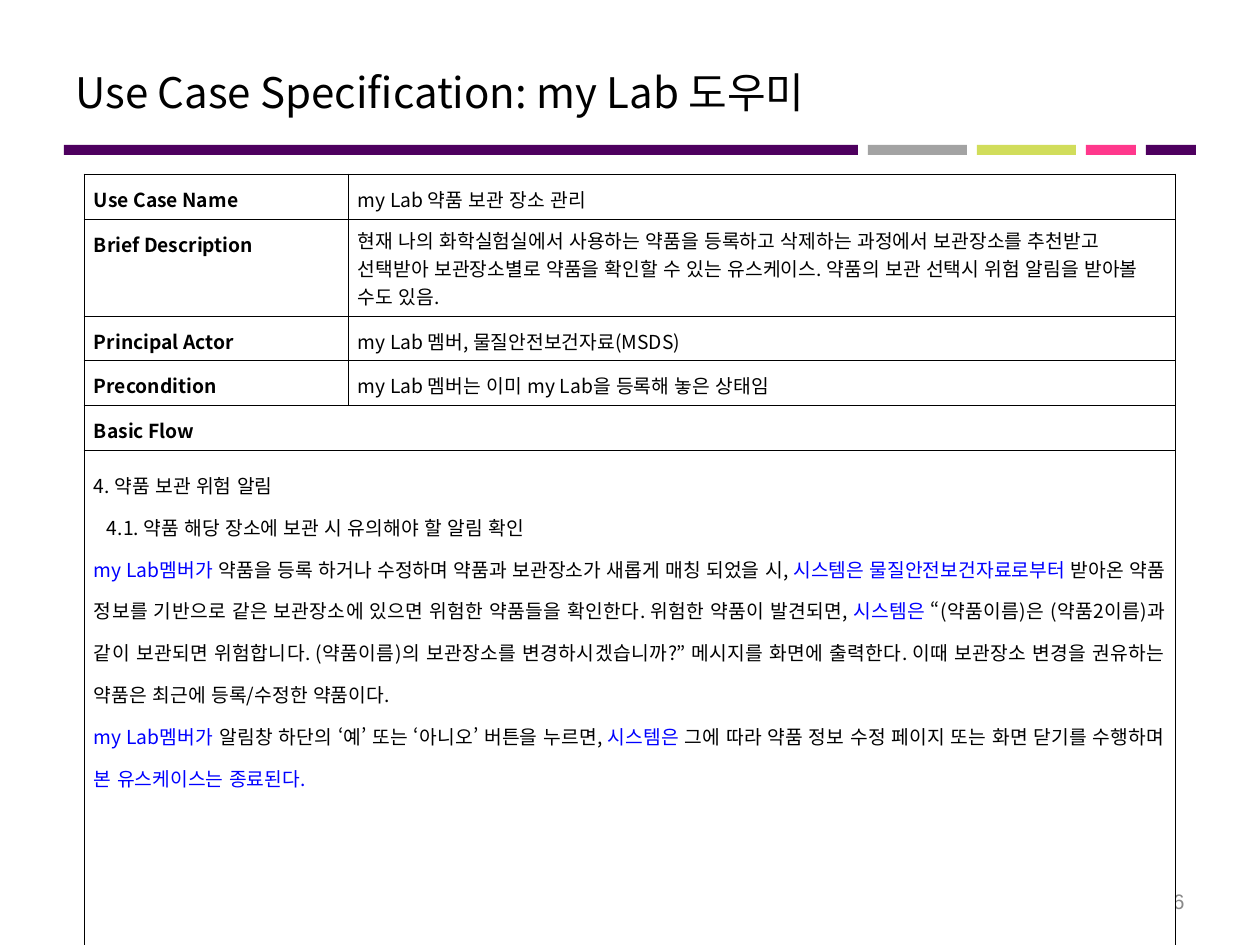
from lxml import etree
from pptx import Presentation
from pptx.dml.color import RGBColor
from pptx.enum.lang import MSO_LANGUAGE_ID
from pptx.enum.shapes import MSO_SHAPE
from pptx.enum.text import MSO_ANCHOR, PP_ALIGN
from pptx.oxml.ns import qn
from pptx.util import Emu, Pt

RECTANGLE = MSO_SHAPE.RECTANGLE
MIDDLE = MSO_ANCHOR.MIDDLE
LEFT, RIGHT, JUSTIFY = PP_ALIGN.LEFT, PP_ALIGN.RIGHT, PP_ALIGN.JUSTIFY
KOREAN = MSO_LANGUAGE_ID.KOREAN

BLACK = RGBColor(0x00, 0x00, 0x00)
WHITE = RGBColor(0xFF, 0xFF, 0xFF)
BLUE = RGBColor(0x00, 0x00, 0xFF)
PURPLE = RGBColor(0x4E, 0x00, 0x5F)
GRAY = RGBColor(0xA3, 0xA3, 0xA3)
LIME = RGBColor(0xD1, 0xDD, 0x5B)
PINK = RGBColor(0xFF, 0x38, 0x8C)
NUMBER_GRAY = RGBColor(0x89, 0x89, 0x89)

KOREAN_FONT = "Noto Sans CJK KR"
NUMBER_FONT = "Arial"

TITLE = "Use Case Specification: my Lab 도우미"
PAGE_NUMBER = "6"
BARS = [(794, PURPLE), (99, GRAY), (99, LIME), (50, PINK), (50, PURPLE)]
BAR_LEFT, BAR_TOP, BAR_HEIGHT, BAR_GAP = 64, 145, 10, 10

FIELDS = [
    ("Use Case Name", "my Lab 약품 보관 장소 관리"),
    ("Brief Description",
     "현재 나의 화학실험실에서 사용하는 약품을 등록하고 삭제하는 과정에서 보관장소를 추천받고 "
     "선택받아 보관장소별로 약품을 확인할 수 있는 유스케이스. 약품의 보관 선택시 위험 알림을 받아볼 수도 있음."),
    ("Principal Actor", "my Lab 멤버, 물질안전보건자료(MSDS)"),
    ("Precondition", "my Lab 멤버는 이미 my Lab을 등록해 놓은 상태임"),
]
LEFT_ALIGNED_FIELD = "Brief Description"
FLOW_HEADING = "Basic Flow"
FLOW = [
    (0, [("4. 약품 보관 위험 알림", BLACK)]),
    (13, [("4.1. 약품 해당 장소에 보관 시 유의해야 할 알림 확인", BLACK)]),
    (0, [
        ("my Lab멤버가 ", BLUE),
        ("약품을 등록 하거나 수정하며 약품과 보관장소가 새롭게 매칭 되었을 시, ", BLACK),
        ("시스템은 물질안전보건자료로부터", BLUE),
        (" 받아온 약품 정보를 기반으로 같은 보관장소에 있으면 위험한 약품들을 확인한다. "
         "위험한 약품이 발견되면, ", BLACK),
        ("시스템은", BLUE),
        (" “(약품이름)은 (약품2이름)과 같이 보관되면 위험합니다. (약품이름)의 보관장소를 "
         "변경하시겠습니까?” 메시지를 화면에 출력한다. 이때 보관장소 변경을 권유하는 약품은 "
         "최근에 등록/수정한 약품이다.", BLACK),
    ]),
    (0, [
        ("my Lab멤버가 ", BLUE),
        ("알림창 하단의 ‘예’ 또는 ‘아니오’ 버튼을 누르면, ", BLACK),
        ("시스템은", BLUE),
        (" 그에 따라 약품 정보 수정 페이지 또는 화면 닫기를 수행하며 ", BLACK),
        ("본 유스케이스는 종료된다.", BLUE),
    ]),
]
TABLE_LEFT, TABLE_TOP = 84, 174
COLUMN_WIDTHS = [264, 827]
ROW_HEIGHTS = [45, 97, 44, 45, 45, 529]


def px(count):
    return Emu(count * 914400 // 126)


def write_paragraph(paragraph, runs, size, font=KOREAN_FONT, bold=False,
                    align=LEFT, spacing=1.0, indent=0):
    paragraph.alignment = align
    paragraph.line_spacing = spacing
    if indent:
        paragraph._p.get_or_add_pPr().set("marL", str(px(indent)))
    paragraph.font.size = Pt(size)
    paragraph.font.bold = bold
    for text, color in runs:
        run = paragraph.add_run()
        run.text = text
        run.font.name = font
        run.font.color.rgb = color
        run.font.language_id = KOREAN
        properties = run._r.get_or_add_rPr()
        properties.set("kern", "0")
        etree.SubElement(properties, qn("a:ea"), typeface=font)


def add_text(slide, box, text, size, color, font, align):
    frame = slide.shapes.add_textbox(*map(px, box)).text_frame
    frame.word_wrap = True
    frame.vertical_anchor = MIDDLE
    write_paragraph(frame.paragraphs[0], [(text, color)], size, font, align=align)


def add_bars(slide):
    left = BAR_LEFT
    for width, color in BARS:
        bar = slide.shapes.add_shape(RECTANGLE, px(left), px(BAR_TOP), px(width), px(BAR_HEIGHT))
        bar.shadow.inherit = False
        bar.fill.solid()
        bar.fill.fore_color.rgb = color
        bar.line.fill.background()
        left += width + BAR_GAP


def format_cell(cell):
    cell.margin_left = cell.margin_right = px(10)
    cell.margin_top, cell.margin_bottom = px(7), px(6)
    properties = cell._tc.get_or_add_tcPr()
    for side in ("lnL", "lnR", "lnT", "lnB"):
        line = etree.SubElement(properties, qn("a:" + side), w=str(Pt(0.45)))
        fill = etree.SubElement(line, qn("a:solidFill"))
        etree.SubElement(fill, qn("a:srgbClr"), val=str(BLACK))
    cell.fill.solid()
    cell.fill.fore_color.rgb = WHITE


def write_cell(cell, text, bold=False, align=JUSTIFY, spacing=1.15):
    write_paragraph(cell.text_frame.paragraphs[0], [(text, BLACK)], 11,
                    bold=bold, align=align, spacing=spacing)


def add_use_case_table(slide):
    table = slide.shapes.add_table(
        len(ROW_HEIGHTS), len(COLUMN_WIDTHS), px(TABLE_LEFT), px(TABLE_TOP),
        px(sum(COLUMN_WIDTHS)), px(sum(ROW_HEIGHTS))).table
    table.first_row = table.horz_banding = False
    for column, width in zip(table.columns, COLUMN_WIDTHS):
        column.width = px(width)
    for row, height in zip(table.rows, ROW_HEIGHTS):
        row.height = px(height)
        for cell in row.cells:
            format_cell(cell)

    for index, (label, value) in enumerate(FIELDS):
        write_cell(table.cell(index, 0), label, bold=True)
        if label == LEFT_ALIGNED_FIELD:
            write_cell(table.cell(index, 1), value, align=LEFT, spacing=1.0)
        else:
            write_cell(table.cell(index, 1), value)

    heading_row = len(FIELDS)
    flow_row = heading_row + 1
    for index in (heading_row, flow_row):
        table.cell(index, 0).merge(table.cell(index, 1))
    write_cell(table.cell(heading_row, 0), FLOW_HEADING, bold=True)

    frame = table.cell(flow_row, 0).text_frame
    for index, (indent, runs) in enumerate(FLOW):
        paragraph = frame.add_paragraph() if index else frame.paragraphs[0]
        write_paragraph(paragraph, runs, 11, align=JUSTIFY, spacing=1.5, indent=indent)


def main():
    presentation = Presentation()
    presentation.slide_width, presentation.slide_height = px(1260), px(945)
    slide = presentation.slides.add_slide(presentation.slide_layouts[6])
    add_bars(slide)
    add_text(slide, (63, 38, 1134, 107), TITLE, 24, BLACK, KOREAN_FONT, LEFT)
    add_text(slide, (903, 876, 294, 50), PAGE_NUMBER, 12, NUMBER_GRAY, NUMBER_FONT, RIGHT)
    add_use_case_table(slide)
    presentation.save("out.pptx")


if __name__ == "__main__":
    main()
